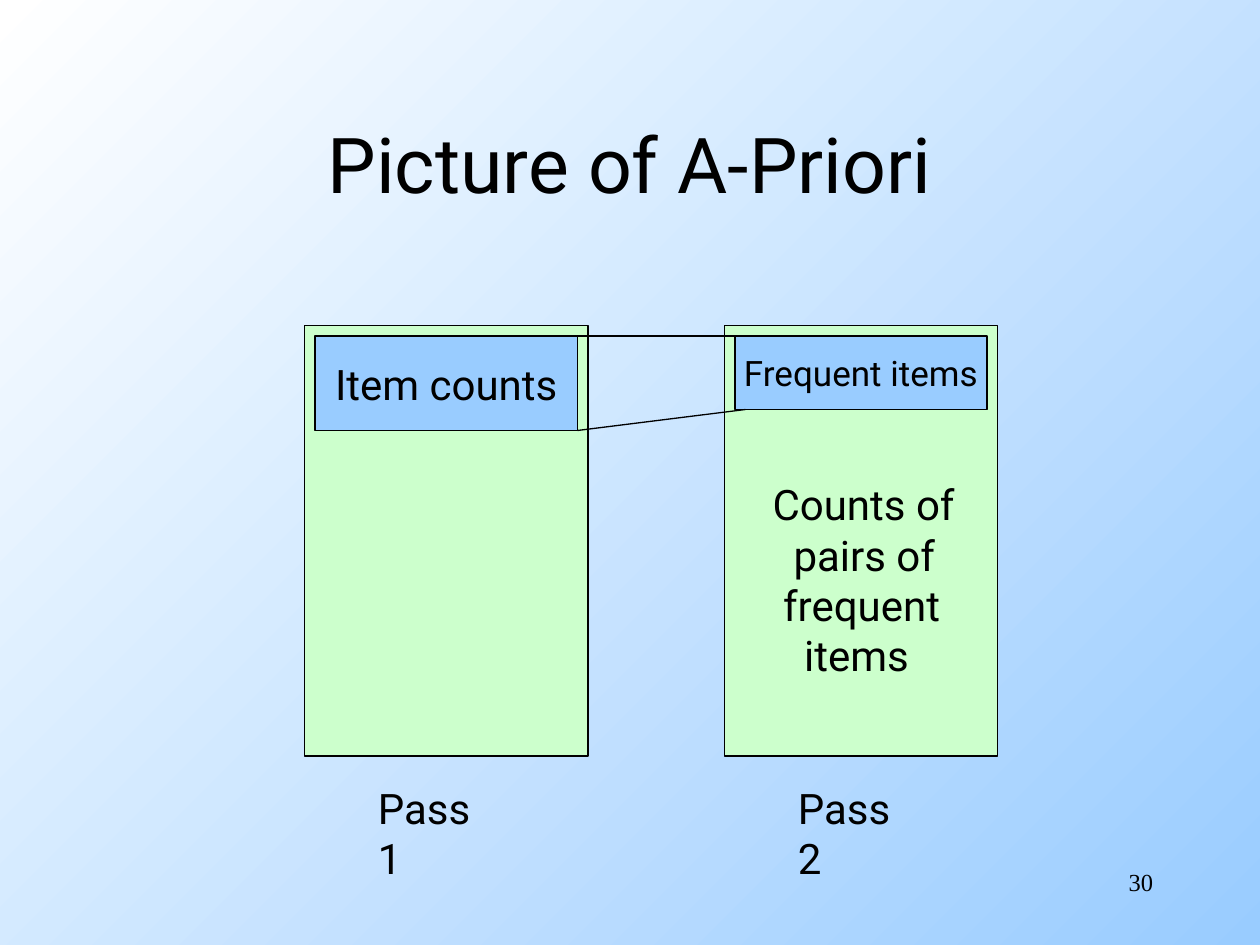
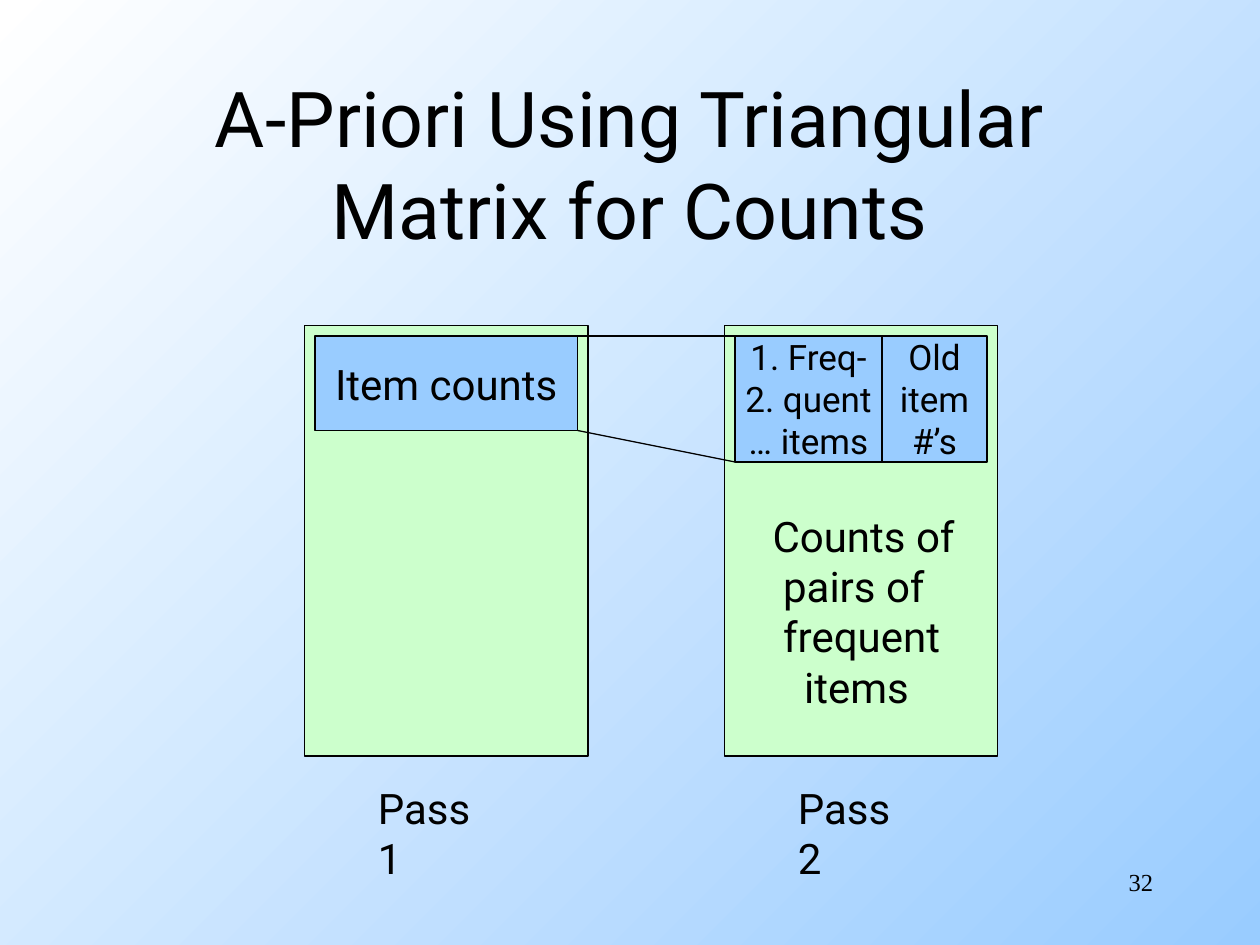
from dataclasses import dataclass

from pptx import Presentation
from pptx.dml.color import RGBColor as Color
from pptx.enum.shapes import MSO_CONNECTOR as Connector, MSO_SHAPE as Preset
from pptx.enum.text import MSO_ANCHOR as Anchor, PP_ALIGN as Align
from pptx.oxml.ns import qn
from pptx.util import Inches, Pt


@dataclass(frozen=True)
class Theme:
    """Colours, fonts, sizes and grid of the presentation."""
    ink: Color = Color.from_string("000000")
    memory: Color = Color.from_string("CCFFCC")
    block: Color = Color.from_string("99CCFF")
    paper: Color = Color.from_string("FFFFFF")
    font: str = "Roboto"
    number_font: str = "Times New Roman"
    title: int = 44
    body: int = 24
    small: int = 20
    number: int = 14
    line: float = 0.75
    columns: int = 120
    rows: int = 90


class Deck:
    """Draws elements on the current slide in grid columns and rows."""

    def __init__(self, theme):
        """Start a presentation with the shared gradient background."""
        self.theme = theme
        self.slide = None
        self.presentation = Presentation()
        self.set_values(self.presentation, {
            "slide_width": Inches(10), "slide_height": Inches(7.5)})
        fill = self.presentation.slide_master.background.fill
        fill.gradient()
        fill.gradient_angle = 315
        for stop, color in zip(fill.gradient_stops, (theme.paper, theme.block)):
            stop.color.rgb = color

    @staticmethod
    def set_values(target, values):
        """Set each attribute named in a dict."""
        for name, value in values.items():
            setattr(target, name, value)

    def scale(self, *lengths):
        """Turn alternating columns and rows into slide lengths."""
        units = (self.presentation.slide_width / self.theme.columns,
                 self.presentation.slide_height / self.theme.rows)
        return [round(length * units[index % 2])
                for index, length in enumerate(lengths)]

    def fill_text(self, shape, lines, size, align, font=None, indents=(), **frame):
        """Fill a shape with one paragraph per line."""
        text_frame = shape.text_frame
        text_frame.text = "\n".join(lines)
        self.set_values(text_frame, {"word_wrap": True, **frame})
        for paragraph in text_frame.paragraphs:
            paragraph.alignment = align
            self.set_values(paragraph.font, {
                "size": Pt(size), "name": font or self.theme.font})
            paragraph.font.color.rgb = self.theme.ink
        for paragraph, indent in zip(text_frame.paragraphs, indents):
            margin = str(self.scale(indent)[0])
            properties = paragraph._p.get_or_add_pPr()
            properties.set("marL", margin)
            properties.set("indent", "0")

    def text(self, place, lines, size, align=Align.LEFT, **options):
        """Add a text box."""
        box = self.slide.shapes.add_textbox(*self.scale(*place))
        self.fill_text(box, lines, size, align, **options)

    def box(self, place, color, label=None, size=None):
        """Add an outlined rectangle with an optional centred label."""
        shape = self.slide.shapes.add_shape(Preset.RECTANGLE, *self.scale(*place))
        shape.shadow.inherit = False
        shape.fill.solid()
        shape.fill.fore_color.rgb = color
        shape.line.color.rgb = self.theme.ink
        shape.line.width = Pt(self.theme.line)
        if label:
            self.fill_text(shape, [label], size, Align.CENTER,
                           word_wrap=False, vertical_anchor=Anchor.MIDDLE)

    def line(self, *ends):
        """Add a straight line."""
        line = self.slide.shapes.add_connector(Connector.STRAIGHT, *self.scale(*ends))
        line.line.color.rgb = self.theme.ink
        line.line.width = Pt(self.theme.line)
        properties = line._element.spPr
        properties.append(properties.makeelement(qn("a:effectLst"), {}))

    def page(self, title, number):
        """Add a slide with its title and number."""
        theme = self.theme
        self.slide = self.presentation.slides.add_slide(
            self.presentation.slide_layouts[6])
        self.text((86, 82, 25, 6), [number], theme.number, Align.RIGHT,
                  font=theme.number_font)
        self.text((9, 8, 102, 15), [title], theme.title, Align.CENTER,
                  vertical_anchor=Anchor.MIDDLE)

    def passes(self, item_label, item_rows, line_end, pair_row, pair_indents):
        """Draw the memory of both passes and the lines between them."""
        theme = self.theme
        for number, (left, width) in enumerate(((29, 27), (69, 26)), 1):
            self.box((left, 31, width, 41), theme.memory)
            self.text((left + 5.8, 73.9, 13, 10), [f"Pass {number}"], theme.body)
        self.box((30, 32, 25, 9), theme.block, "Item counts", theme.body)
        self.box((70, 32, 24, item_rows), theme.block, item_label, theme.small)
        self.line(55, 32, 70, 32)
        self.line(55, 41, line_end, 32 + item_rows)
        self.text((72.4, pair_row, 20.5, 20.4),
                  ["Counts of", "pairs of", "frequent", "items"],
                  theme.body, indents=pair_indents)

    def cell(self, left, width, lines):
        """Add centred lines to one part of the item block."""
        self.text((left, 32, width, 12), lines, self.theme.small, Align.CENTER,
                  word_wrap=False, vertical_anchor=Anchor.MIDDLE,
                  margin_left=0, margin_right=0)


def main():
    """Build both slides and save them."""
    deck = Deck(Theme())
    deck.page("Picture of A-Priori", "30")
    deck.passes("Frequent items", 7, 71, 45, (0, 2, 1, 3))

    deck.page("A-Priori Using Triangular Matrix for Counts", "32")
    deck.passes(None, 12, 70, 48, (0, 1, 1, 3))
    deck.cell(70, 14, ["1. Freq-", "2. quent", "… items"])
    deck.cell(84, 10, ["Old", "item", "#’s"])
    deck.line(84, 32, 84, 44)
    deck.presentation.save("out.pptx")


if __name__ == "__main__":
    main()
